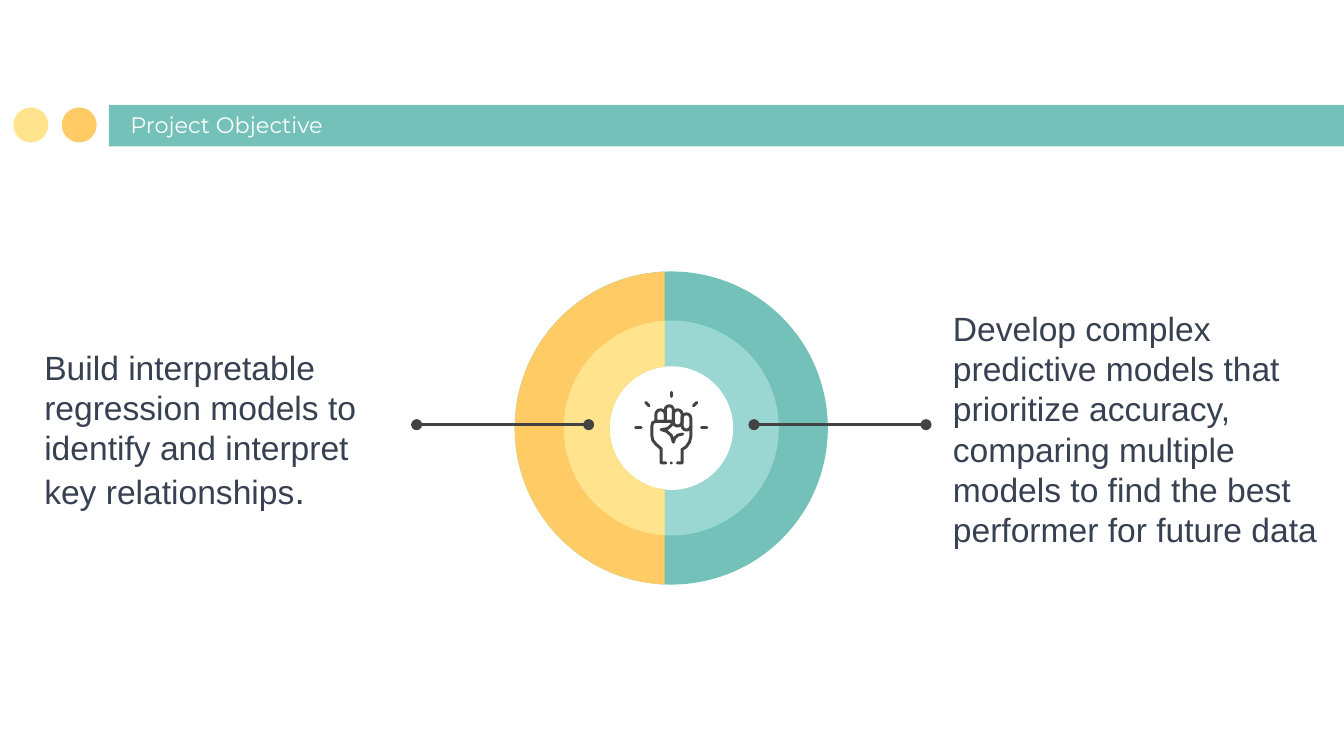
import math

from lxml import etree
from pptx import Presentation
from pptx.dml.color import RGBColor
from pptx.enum.shapes import MSO_CONNECTOR, MSO_SHAPE
from pptx.enum.text import MSO_ANCHOR, MSO_AUTO_SIZE, PP_ALIGN
from pptx.oxml.ns import qn
from pptx.util import Inches, Pt

OVAL, RECT = MSO_SHAPE.OVAL, MSO_SHAPE.RECTANGLE
STRAIGHT = MSO_CONNECTOR.STRAIGHT
LEFT, BOTTOM, TOP = PP_ALIGN.LEFT, MSO_ANCHOR.BOTTOM, MSO_ANCHOR.TOP
NO_FIT = MSO_AUTO_SIZE.NONE

COLORS = {
    "teal": "74C1B9", "mint": "9AD7D2", "amber": "FFCB64", "butter": "FFE48D",
    "white": "FFFFFF", "ink": "434343", "text": "374151",
}


def rgb(name):
    return RGBColor.from_string(COLORS[name])


def set_fill(sp, color):
    sp.shadow.inherit = False
    sp.fill.solid()
    sp.fill.fore_color.rgb = rgb(color)
    sp.line.fill.background()


def add_filled(shapes, kind, box, color):
    sp = shapes.add_shape(kind, *map(Inches, box))
    set_fill(sp, color)
    return sp


def set_stroke(sp, width):
    sp.line.color.rgb = rgb("ink")
    sp.line.width = Pt(width)
    ln = sp.element.spPr.find(qn("a:ln"))
    ln.set("cap", "rnd")
    return ln


def add_line(shapes, start, end, width):
    line = shapes.add_connector(STRAIGHT, *map(Inches, (*start, *end)))
    ln = set_stroke(line, width)
    etree.SubElement(line.element.spPr, qn("a:effectLst"))
    return ln


def add_freeform(shapes, contours, closed):
    """Outline made of one or more contours of points in inches."""
    contours = [[(Inches(x), Inches(y)) for x, y in c] for c in contours]
    builder = shapes.build_freeform(*contours[0][0], scale=1.0)
    builder.add_line_segments(contours[0][1:], close=closed)
    for contour in contours[1:]:
        builder.move_to(*contour[0])
        builder.add_line_segments(contour[1:], close=closed)
    return builder.convert_to_shape()


def arc(cx, cy, radius, start, end, steps):
    angles = [start + (end - start) * i / steps for i in range(steps + 1)]
    return [(cx + radius * math.cos(a), cy - radius * math.sin(a)) for a in angles]


def add_run(p, text, font):
    r = p.add_run()
    r.text = text
    r.font.color.rgb = rgb(font["color"])
    for name in ("name", "size"):
        setattr(r.font, name, font[name])


def format_text(sp, text, font, frame):
    tf = sp.text_frame
    for name, value in frame.items():
        setattr(tf, name, value)
    p = tf.paragraphs[0]
    p.alignment = LEFT
    add_run(p, text, font)
    return p


def add_header(slide, box, title):
    x, y, w, h = box
    # Two dots and the title bar
    for dx, color in ((0.1, "butter"), (0.46, "amber")):
        add_filled(slide.shapes, OVAL, (x + dx, y + 0.02, 0.26, 0.26), color)
    add_filled(slide.shapes, RECT, (x + 0.81, y, w - 0.81, h), "teal")

    # Title, raised above the bar
    sp = slide.shapes.title
    place = {"left": x + 0.87, "top": y + 0.01, "width": 5.48, "height": 0.34}
    for name, value in place.items():
        setattr(sp, name, Inches(value))
    margins = {f"margin_{side}": Inches(0.1)
               for side in ("left", "top", "right", "bottom")}
    format_text(sp, title,
                {"name": "Montserrat", "size": Pt(12), "color": "white"},
                {**margins, "vertical_anchor": BOTTOM, "auto_size": NO_FIT})
    slide.shapes.element.append(sp.element)


def add_objective(slide, box, text, ending=""):
    sp = slide.shapes.add_textbox(*map(Inches, box))
    frame = {"margin_left": 0, "margin_right": 0, "margin_bottom": 0,
             "margin_top": Inches(0.01), "word_wrap": True,
             "vertical_anchor": TOP, "auto_size": NO_FIT}
    font = {"name": "Arial", "size": Pt(18), "color": "text"}
    p = format_text(sp, text, font, frame)
    if ending:
        add_run(p, ending, {**font, "size": Pt(20)})


def add_rings(slide, box):
    x, y, size = box
    cx, cy = x + size / 2, y + size / 2
    shapes = slide.shapes.add_group_shape().shapes
    outer, middle, inner = size / 2, 0.8, 0.46

    # Full discs
    for radius, color in ((outer, "teal"), (middle, "mint"), (inner, "white")):
        add_filled(shapes, OVAL,
                   (cx - radius, cy - radius, 2 * radius, 2 * radius), color)

    # Left bands, cut slightly left of the centre
    cut = -0.05
    for radius, color in ((outer, "amber"), (middle, "butter")):
        a, b = math.acos(cut / radius), math.acos(cut / inner)
        points = (arc(cx, cy, radius, a, 2 * math.pi - a, 60)
                  + arc(cx, cy, inner, 2 * math.pi - b, b, 40))
        set_fill(add_freeform(shapes, [points], True), color)


def add_fist(slide, box):
    """Raised fist with rays, drawn on a grid of 55 units a side."""
    x, y, size = box
    unit = size / 55
    shapes = slide.shapes.add_group_shape().shapes

    def at(points):
        return [(x + px * unit, y + py * unit) for px, py in points]

    # Fingers: left, right, top, bottom, rounded at the bottom
    contours = []
    for left, right, top, bottom, is_round in (
            (16, 23, 14, 22.5, False), (23, 29, 11, 22.5, False),
            (29, 35.5, 14, 26, True), (35.5, 42, 17, 29, True)):
        r = (right - left) / 2
        mid = left + r
        tip = arc(mid, top + r, r, math.pi, 0, 10)
        base = (arc(mid, bottom - r, r, 0, -math.pi, 10) if is_round
                else [(right, bottom), (left, bottom)])
        contours.append(at(tip + base + tip[:1]))

    # Left side with thumb, palm fold, right side
    contours += [at(c) for c in (
        [(23.5, 53.5), (20, 53.5), (20, 43), (16, 39.5), (13.7, 36.5), (13, 33),
         (13, 26), (13.7, 23.5), (16, 22.5), (29, 22.5), (27.5, 25.5),
         (24.5, 28), (20, 28.7), (24, 30), (27.5, 33), (29, 38), (30, 35),
         (32.5, 32.8), (36, 32)],
        [(42, 26), (42, 34), (41, 38), (38.5, 41.5), (35.5, 43.5),
         (35.5, 53.5), (32, 53.5)])]
    hand = add_freeform(shapes, contours, False)
    hand.shadow.inherit = False
    hand.fill.background()
    etree.SubElement(set_stroke(hand, 1.6), qn("a:round"))

    # Rays and the dot at the wrist
    for ray in (((27.5, 1), (27.5, 4)), ((50, 27), (54, 27)), ((1, 27), (5, 27)),
                ((46.5, 8.5), (44, 11)), ((8.5, 8.5), (11, 11))):
        add_line(shapes, *at(ray), 1.6)
    dot = at([(26.5, 52.5)])[0]
    add_filled(shapes, OVAL, (*dot, 0.02, 0.02), "ink")


def add_leader(slide, box):
    x, y, w = box
    ln = add_line(slide.shapes, (x, y), (x + w, y), 1.5)
    for end in ("a:headEnd", "a:tailEnd"):
        etree.SubElement(ln, qn(end), type="oval")


def main():
    prs = Presentation()
    prs.slide_width = Inches(10)
    prs.slide_height = prs.slide_width * 9 // 16
    slide = prs.slides.add_slide(prs.slide_layouts[5])

    add_header(slide, (0, 0.78, 10, 0.31), "Project Objective")
    add_objective(slide, (7.09, 2.28, 2.75, 2.14),
                  "Develop complex predictive models that prioritize accuracy, "
                  "comparing multiple models to find the best performer for "
                  "future data")
    add_objective(slide, (0.33, 2.57, 2.6, 1.24),
                  "Build interpretable regression models to identify and "
                  "interpret key relationships", ".")
    add_rings(slide, (3.83, 2.02, 2.33))
    add_fist(slide, (4.72, 2.91, 0.55))
    for x in (3.1, 5.61):
        add_leader(slide, (x, 3.16, 1.28))
    prs.save("out.pptx")


if __name__ == "__main__":
    main()
